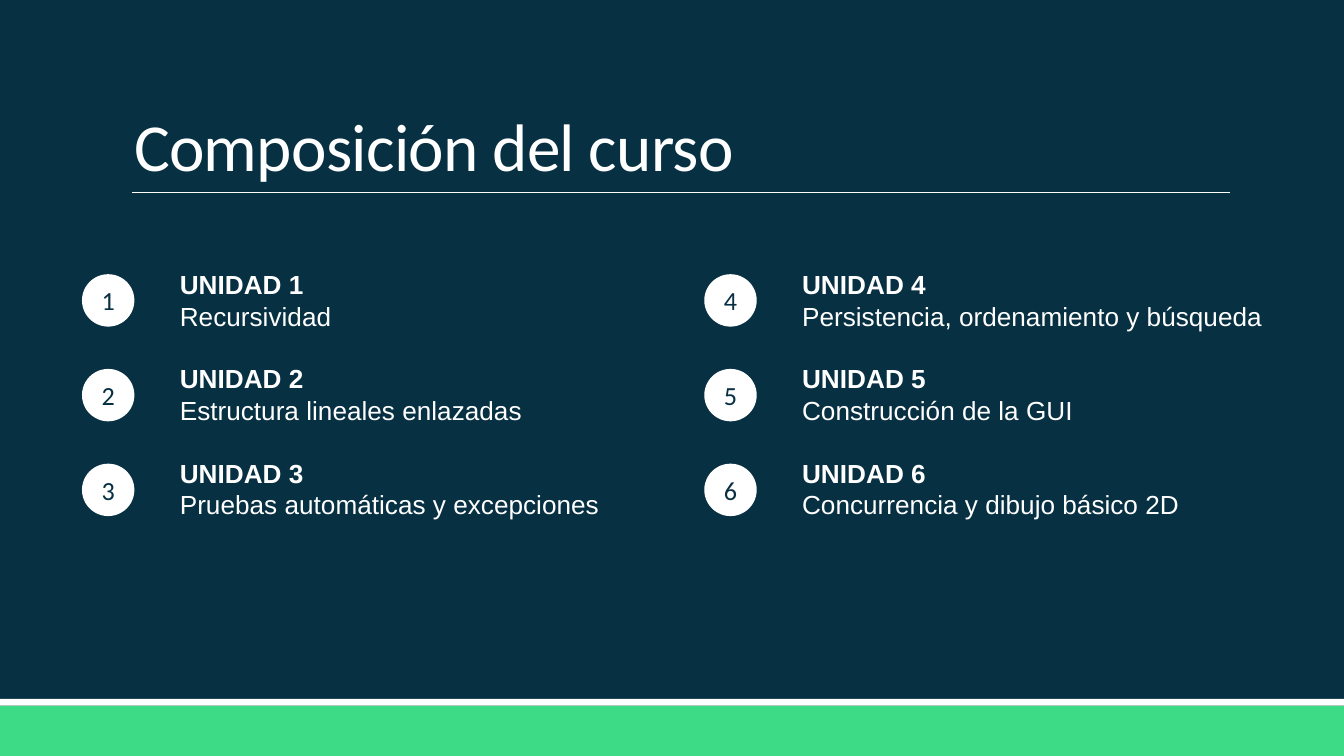
from lxml.etree import SubElement
from pptx import Presentation
from pptx.dml.color import RGBColor
from pptx.enum.shapes import MSO_CONNECTOR, MSO_SHAPE
from pptx.enum.text import MSO_ANCHOR, PP_ALIGN
from pptx.oxml.ns import qn
from pptx.util import Inches, Pt

WIDTH = 10
HEIGHT = WIDTH * 9 / 16
NAVY, GREEN, WHITE = "073042", "3DDB85", "FFFFFF"
COLUMN_LEFT, COLUMN_STEP = 0.61, 4.63
ROW_TOP, ROW_STEP = 2.04, 0.705
BADGE_SIZE, TEXT_OFFSET, TEXT_TOP = 0.39, 0.63, 1.95
LINE_HEIGHT = 16.8
BAND_TOP, STRIPE_HEIGHT = 5.25, 0.05

COLUMNS = [
    ["Recursividad", "Estructura lineales enlazadas",
     "Pruebas automáticas y excepciones"],
    ["Persistencia, ordenamiento y búsqueda", "Construcción de la GUI",
     "Concurrencia y dibujo básico 2D"],
]


def color(hex_value):
    return RGBColor.from_string(hex_value)


def write(paragraph, text, size=14, font="Arial", ink=WHITE, bold=False,
          tracking=None, align=None, line_spacing=None, before=0):
    paragraph.alignment = align
    paragraph.line_spacing = line_spacing
    paragraph.space_before = Pt(before)
    run = paragraph.add_run()
    run.text = text
    run.font.size, run.font.name, run.font.bold = Pt(size), font, bold
    run.font.color.rgb = color(ink)
    if tracking is not None:
        run.font._element.set("spc", str(round(tracking * 100)))


def add_filled(slide, preset, left, top, width, height, fill):
    shape = slide.shapes.add_shape(
        preset, *map(Inches, (left, top, width, height)))
    shape.shadow.inherit = False
    shape.fill.solid()
    shape.fill.fore_color.rgb = color(fill)
    shape.line.fill.background()
    return shape


def add_text_frame(slide, left, top, width, height, anchor=MSO_ANCHOR.TOP):
    frame = slide.shapes.add_textbox(
        *map(Inches, (left, top, width, height))).text_frame
    frame.word_wrap = True
    frame.vertical_anchor = anchor
    return frame


def add_rule(slide, left, right, y):
    rule = slide.shapes.add_connector(
        MSO_CONNECTOR.STRAIGHT, *map(Inches, (left, y, right, y)))
    rule.line.color.rgb = color(WHITE)
    rule.line.width = Pt(0.5)
    SubElement(rule._element.spPr, qn("a:effectLst"))


def add_badge(slide, number, left, top):
    badge = add_filled(slide, MSO_SHAPE.OVAL, left, top,
                       BADGE_SIZE, BADGE_SIZE, WHITE)
    frame = badge.text_frame
    frame.margin_left = frame.margin_right = 0
    frame.margin_top = frame.margin_bottom = 0
    frame.vertical_anchor = MSO_ANCHOR.MIDDLE
    write(frame.paragraphs[0], str(number), font="Calibri", ink=NAVY,
          align=PP_ALIGN.CENTER)


def add_unit_column(slide, column, topics):
    """Draw one column of units: a text block and its numbered badges."""
    left = COLUMN_LEFT + column * COLUMN_STEP
    frame = add_text_frame(slide, left + TEXT_OFFSET, TEXT_TOP, 3.7, 2.22)
    for row, topic in enumerate(topics):
        number = column * len(topics) + row + 1
        heading = frame.add_paragraph() if row else frame.paragraphs[0]
        write(heading, f"UNIDAD {number}", bold=True,
              line_spacing=Pt(LINE_HEIGHT), before=LINE_HEIGHT if row else 0)
        write(frame.add_paragraph(), topic, line_spacing=Pt(LINE_HEIGHT))
        add_badge(slide, number, left, ROW_TOP + row * ROW_STEP)


def main():
    deck = Presentation()
    deck.slide_width, deck.slide_height = Inches(WIDTH), Inches(HEIGHT)
    slide = deck.slides.add_slide(deck.slide_layouts[6])
    slide.background.fill.solid()
    slide.background.fill.fore_color.rgb = color(NAVY)

    add_filled(slide, MSO_SHAPE.RECTANGLE, 0, BAND_TOP,
               WIDTH, HEIGHT - BAND_TOP, GREEN)
    add_filled(slide, MSO_SHAPE.RECTANGLE, 0, BAND_TOP - STRIPE_HEIGHT,
               WIDTH, STRIPE_HEIGHT, WHITE)
    add_rule(slide, 0.98, 9.15, 1.43)
    title = add_text_frame(slide, 0.9, 0.24, 8.25, 1.19, MSO_ANCHOR.BOTTOM)
    write(title.paragraphs[0], "Composición del curso", size=36,
          font="Calibri", tracking=-0.4, line_spacing=0.85)
    for column, topics in enumerate(COLUMNS):
        add_unit_column(slide, column, topics)

    deck.save("out.pptx")


if __name__ == "__main__":
    main()
